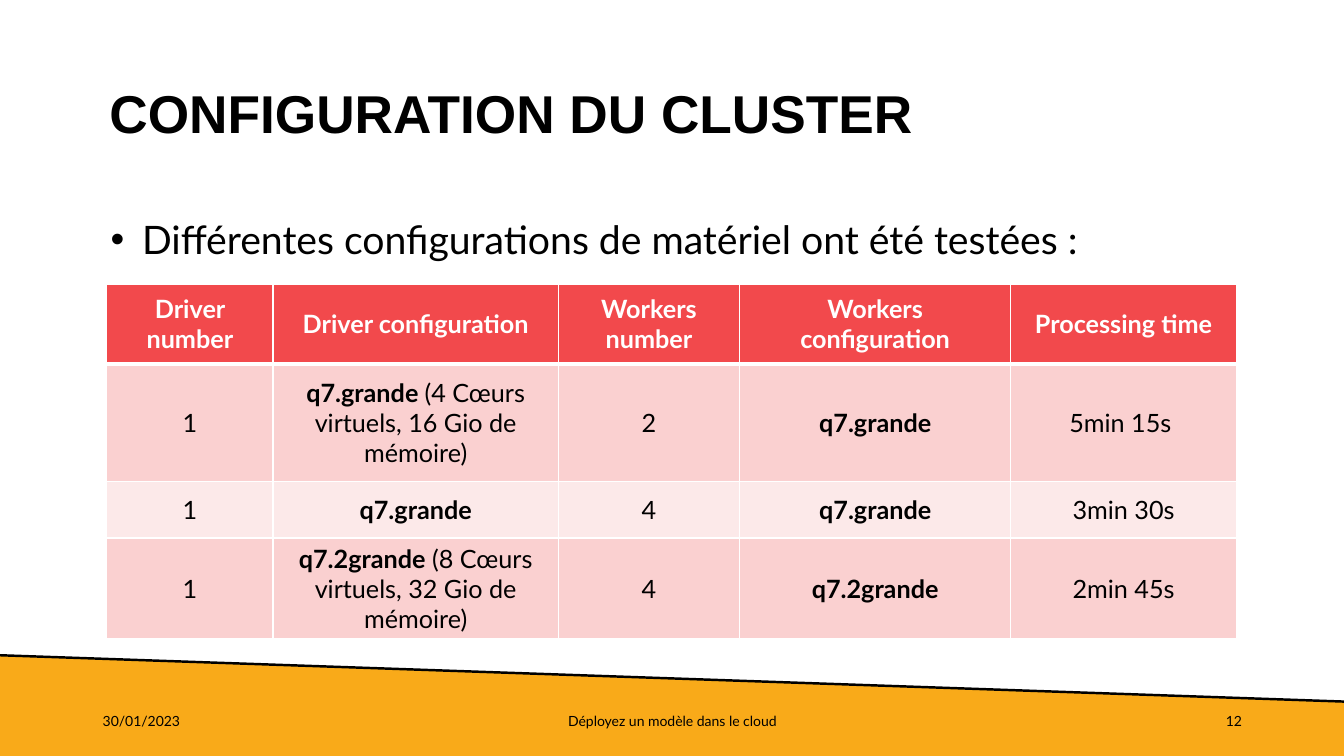
import pptx
import pptx.util
import pptx.dml.color
import pptx.enum.shapes
import pptx.enum.text
import pptx.oxml
from pptx.util import Cm

COLORS = {
    "black": "000000", "white": "FFFFFF", "amber": "F9AA19",
    "head": "F2494C", "odd": "FAD0D0", "even": "FCE9E9",
}
ALIGN = pptx.enum.text.PP_ALIGN
MIDDLE = pptx.enum.text.MSO_ANCHOR.MIDDLE
NS = 'xmlns:a="http://schemas.openxmlformats.org/drawingml/2006/main"'

WIDTHS = [4.19, 7.19, 4.57, 6.83, 5.69]
HEIGHTS = [2.01, 2.97, 1.42, 1.42]
# Each cell is a list of (text, bold) runs
HEADS = ["Driver number", "Driver configuration", "Workers number",
         "Workers configuration", "Processing time"]
ROWS = [
    [[(head, True)] for head in HEADS],
    [[("1", False)],
     [("q7.grande ", True), ("(4 Cœurs virtuels, 16 Gio de mémoire)", False)],
     [("2", False)], [("q7.grande", True)], [("5min 15s ", False)]],
    [[("1", False)], [("q7.grande", True)],
     [("4", False)], [("q7.grande", True)], [("3min 30s", False)]],
    [[("1", False)],
     [("q7.2grande", True), (" (8 Cœurs virtuels, 32 Gio de mémoire)", False)],
     [("4", False)], [("q7.2grande", True)], [("2min 45s", False)]],
]


def color(name):
    return pptx.dml.color.RGBColor.from_string(COLORS[name])


def add_run(para, text, size, bold=False, font="Lato", ink="black"):
    run = para.add_run()
    run.text = text
    run.font.name = font
    run.font.size = pptx.util.Pt(size)
    run.font.bold = bold
    run.font.color.rgb = color(ink)


def add_text(slide, box, text, size, align=ALIGN.LEFT, anchor=MIDDLE, **style):
    frame = slide.shapes.add_textbox(*map(Cm, box)).text_frame
    frame.word_wrap = True
    frame.vertical_anchor = anchor
    para = frame.paragraphs[0]
    para.alignment = align
    add_run(para, text, size, **style)
    return para


def add_bullet(para, indent):
    props = para._p.get_or_add_pPr()
    props.set("marL", str(Cm(indent)))
    props.set("indent", str(-Cm(indent)))
    for tag in ('buFont {} typeface="Arial"', 'buChar {} char="•"'):
        props.append(pptx.oxml.parse_xml(f"<a:{tag.format(NS)}/>"))


def add_band(slide):
    # Amber footer with a slanted top edge
    left, right, high, low = Cm(-0.03), Cm(33.91), Cm(16.51), Cm(17.68)
    form = slide.shapes.build_freeform(right, low)
    form.add_line_segments([(left, high), (left, Cm(19.05)), (right, Cm(19.13))])
    band = form.convert_to_shape()
    band.shadow.inherit = False
    band.fill.solid()
    band.fill.fore_color.rgb = color("amber")
    band.line.fill.background()

    # Black line along the edge
    edge = slide.shapes.add_connector(
        pptx.enum.shapes.MSO_CONNECTOR.STRAIGHT, left, high, right, low)
    edge.line.color.rgb = color("black")
    edge.line.width = pptx.util.Pt(1.75)
    edge._element.spPr.append(pptx.oxml.parse_xml(f"<a:effectLst {NS}/>"))


def set_cell(cell, runs, fill, ink, top, bottom):
    cell.vertical_anchor = MIDDLE
    para = cell.text_frame.paragraphs[0]
    para.alignment = ALIGN.CENTER
    for text, bold in runs:
        add_run(para, text, 18, bold, ink=ink)
    # Borders must come before the fill
    props = cell._tc.get_or_add_tcPr()
    for side, width in (("L", 1), ("R", 1), ("T", top), ("B", bottom)):
        props.append(pptx.oxml.parse_xml(
            f'<a:ln{side} {NS} w="{pptx.util.Pt(width)}"><a:solidFill>'
            f'<a:srgbClr val="{COLORS["white"]}"/></a:solidFill></a:ln{side}>'))
    cell.fill.solid()
    cell.fill.fore_color.rgb = color(fill)


def add_grid(slide, left, top):
    table = slide.shapes.add_table(
        len(ROWS), len(WIDTHS), Cm(left), Cm(top),
        Cm(sum(WIDTHS)), Cm(sum(HEIGHTS))).table
    for col, width in zip(table.columns, WIDTHS):
        col.width = Cm(width)
    for r, (row, height) in enumerate(zip(ROWS, HEIGHTS)):
        table.rows[r].height = Cm(height)
        fill = "head" if r == 0 else "odd" if r % 2 else "even"
        ink = "white" if r == 0 else "black"
        for c, runs in enumerate(row):
            set_cell(table.cell(r, c), runs, fill, ink,
                     top=3 if r == 1 else 1, bottom=3 if r == 0 else 1)


def main():
    deck = pptx.Presentation()
    deck.slide_width, deck.slide_height = Cm(33.87), Cm(19.05)
    slide = deck.slides.add_slide(deck.slide_layouts[6])
    add_band(slide)

    # Title and lead
    title = add_text(slide, (2.51, 1.09, 29.21, 3.68), "CONFIGURATION DU CLUSTER",
                     38, bold=True, font="Arial")
    title.line_spacing = 0.9
    lead = add_text(slide, (2.54, 5.31, 28.8, 1.6),
                    "Différentes configurations de matériel ont été testées :",
                    28, anchor=pptx.enum.text.MSO_ANCHOR.TOP)
    lead.space_before = pptx.util.Pt(10)
    add_bullet(lead, 0.79)

    # Footer
    for left, width, text, align in (
            (2.34, 7.62, "30/01/2023", ALIGN.LEFT),
            (11.23, 11.43, "Déployez un modèle dans le cloud", ALIGN.CENTER),
            (23.93, 7.62, "12", ALIGN.RIGHT)):
        add_text(slide, (left, 17.65, width, 1.02), text, 10, align)

    add_grid(slide, 2.69, 7.16)
    deck.save("out.pptx")


if __name__ == "__main__":
    main()
